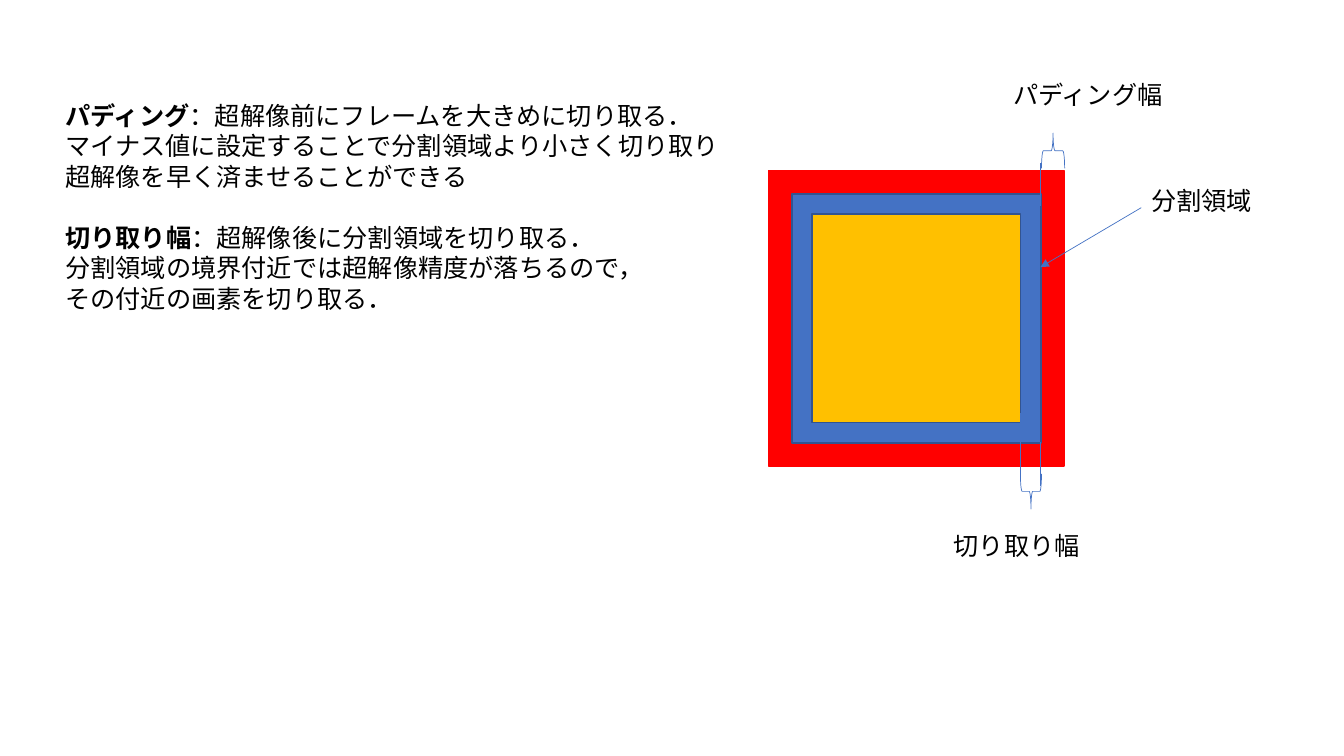
"""Build a slide explaining padding width and crop width around a divided region."""
import dataclasses
from typing import Optional

import pptx
import pptx.dml.color
import pptx.enum.shapes
import pptx.oxml.ns
import pptx.util
from lxml import etree
from pptx.util import Inches

COLORS = {
    "padding": "FF0000", "region": "4472C4", "kept": "FFC000",
    "outline": "325491", "text": "000000",
}
FONT = "Noto Sans CJK JP"
LINE_PITCH = 21.8
CENTER_X, CENTER_Y = 9.09, 3.16


@dataclasses.dataclass
class Square:
    side: float
    fill: str
    line: str


@dataclasses.dataclass
class Brace:
    left: float
    top: float
    height: float
    rotation: int


@dataclasses.dataclass
class Line:
    x1: float
    y1: float
    x2: float
    y2: float
    arrow: bool = False


@dataclasses.dataclass
class Label:
    text: str
    left: float
    top: float
    width: float


@dataclasses.dataclass
class Paragraph:
    text: str
    term: str = ""
    gap: float = 0


SQUARES = [
    Square(2.93, "padding", "padding"),
    Square(2.47, "region", "outline"),
    Square(2.07, "kept", "outline"),
]
BRACES = [Brace(10.27, 1.38, 0.23, 270), Brace(10.05, 4.77, 0.21, 90)]
LINES = [
    Line(11.32, 2.06, 10.32, 2.65, arrow=True),
    Line(10.32, 1.62, 10.32, 2.04),
    Line(10.32, 4.39, 10.32, 4.82),
    Line(10.12, 4.1, 10.12, 4.7),
]
LABELS = [
    Label("分割領域", 11.32, 1.79, 1.21),
    Label("パディング幅", 9.95, 0.73, 1.72),
    Label("切り取り幅", 9.36, 5.21, 1.46),
]
EXPLANATION = [
    Paragraph("：超解像前にフレームを大きめに切り取る．", "パディング"),
    Paragraph("マイナス値に設定することで分割領域より小さく切り取り"),
    Paragraph("超解像を早く済ませることができる"),
    Paragraph("：超解像後に分割領域を切り取る．", "切り取り幅", LINE_PITCH),
    Paragraph("分割領域の境界付近では超解像精度が落ちるので，"),
    Paragraph("その付近の画素を切り取る．"),
]


def rgb(name: str) -> pptx.dml.color.RGBColor:
    """Return the named colour."""
    return pptx.dml.color.RGBColor.from_string(COLORS[name])


def add_run(p, text: str, *, size: float = 18, bold: bool = False, color: str = "text") -> None:
    """Append formatted text to a paragraph."""
    r = p.add_run()
    r.text = text
    r.font.size = pptx.util.Pt(size)
    r.font.bold = bold
    r.font.name = FONT
    r.font.color.rgb = rgb(color)
    ea = etree.SubElement(r.font._element, pptx.oxml.ns.qn("a:ea"))
    ea.set("typeface", FONT)


def add_text(s, left: float, top: float, width: float, paragraphs: list[Paragraph]) -> None:
    """Add a text box whose height follows its lines."""
    rows = len(paragraphs) + sum(item.gap > 0 for item in paragraphs)
    height = 0.1 + rows * LINE_PITCH / 72
    sp = s.shapes.add_textbox(Inches(left), Inches(top), Inches(width), Inches(height))
    tf = sp.text_frame
    tf.word_wrap = True
    for i, item in enumerate(paragraphs):
        p = tf.add_paragraph() if i else tf.paragraphs[0]
        p.line_spacing = pptx.util.Pt(LINE_PITCH)
        p.space_before = pptx.util.Pt(item.gap)
        if item.term:
            add_run(p, item.term, bold=True)
        add_run(p, item.text)


def add_shape(s, kind, left: float, top: float, width: float, height: float, line: str,
              weight: float, fill: Optional[str] = None, rotation: float = 0) -> None:
    """Add an outlined preset shape with an optional fill."""
    sp = s.shapes.add_shape(kind, Inches(left), Inches(top), Inches(width), Inches(height))
    sp.shadow.inherit = False
    sp.rotation = rotation
    if fill:
        sp.fill.solid()
        sp.fill.fore_color.rgb = rgb(fill)
    else:
        sp.fill.background()
    sp.line.color.rgb = rgb(line)
    sp.line.width = pptx.util.Pt(weight)


def add_line(s, line: Line) -> None:
    """Add a thin straight line, with an arrowhead if asked."""
    sp = s.shapes.add_connector(
        pptx.enum.shapes.MSO_CONNECTOR.STRAIGHT,
        Inches(line.x1), Inches(line.y1), Inches(line.x2), Inches(line.y2))
    sp.line.color.rgb = rgb("region")
    sp.line.width = pptx.util.Pt(0.5)
    if line.arrow:
        tail = etree.SubElement(sp.line._get_or_add_ln(), pptx.oxml.ns.qn("a:tailEnd"))
        tail.set("type", "triangle")
    etree.SubElement(sp._element.spPr, pptx.oxml.ns.qn("a:effectLst"))


def main() -> None:
    """Draw the slide and save it."""
    prs = pptx.Presentation()
    prs.slide_width, prs.slide_height = Inches(13.33), Inches(7.5)
    s = prs.slides.add_slide(prs.slide_layouts[6])
    kinds = pptx.enum.shapes.MSO_SHAPE
    for square in SQUARES:
        half = square.side / 2
        add_shape(s, kinds.RECTANGLE, CENTER_X - half, CENTER_Y - half,
                  square.side, square.side, square.line, 1, square.fill)
    for brace in BRACES:
        add_shape(s, kinds.RIGHT_BRACE, brace.left, brace.top, 0.35, brace.height,
                  "region", 0.5, rotation=brace.rotation)
    for line in LINES:
        add_line(s, line)
    for label in LABELS:
        add_text(s, label.left, label.top, label.width, [Paragraph(label.text)])
    add_text(s, 0.55, 0.94, 6.77, EXPLANATION)
    prs.save("out.pptx")


main()
